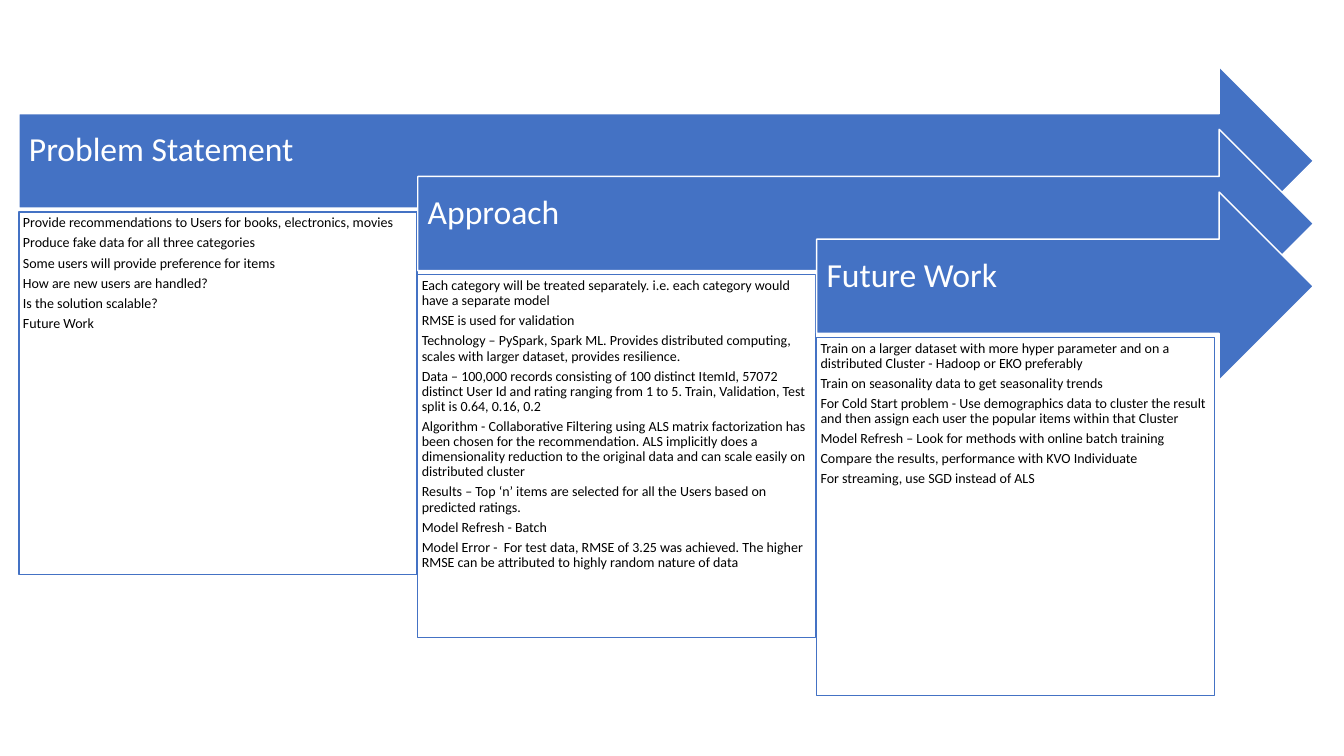
import pptx
import pptx.util
import pptx.dml.color
import pptx.enum.shapes
import pptx.enum.text

Cm, Pt = pptx.util.Cm, pptx.util.Pt
Shape = pptx.enum.shapes.MSO_SHAPE
Anchor = pptx.enum.text.MSO_ANCHOR
Align = pptx.enum.text.PP_ALIGN
COLORS = {"blue": "4472C4", "white": "FFFFFF", "black": "000000"}

STAGES = [
    ("Problem Statement", 9.14, [
        "Provide recommendations to Users for books, electronics, movies",
        "Produce fake data for all three categories",
        "Some users will provide preference for items",
        "How are new users are handled?",
        "Is the solution scalable?",
        "Future Work",
    ]),
    ("Approach", 9.14, [
        "Each category will be treated separately. i.e. each category would have a separate model",
        "RMSE is used for validation",
        "Technology – PySpark, Spark ML. Provides distributed computing, "
        "scales with larger dataset, provides resilience.",
        "Data – 100,000 records consisting of 100 distinct ItemId, 57072 distinct User Id "
        "and rating ranging from 1 to 5. Train, Validation, Test split is 0.64, 0.16, 0.2",
        "Algorithm - Collaborative Filtering using ALS matrix factorization has been chosen "
        "for the recommendation. ALS implicitly does a dimensionality reduction to the "
        "original data and can scale easily on distributed cluster",
        "Results – Top ‘n’ items are selected for all the Users based on predicted ratings.",
        "Model Refresh - Batch",
        "Model Error -  For test data, RMSE of 3.25 was achieved. "
        "The higher RMSE can be attributed to highly random nature of data",
    ]),
    ("Future Work", 9.02, [
        "Train on a larger dataset with more hyper parameter and on a distributed Cluster "
        "- Hadoop or EKO preferably",
        "Train on seasonality data to get seasonality trends",
        "For Cold Start problem - Use demographics data to cluster the result "
        "and then assign each user the popular items within that Cluster",
        "Model Refresh – Look for methods with online batch training",
        "Compare the results, performance with KVO Individuate",
        "For streaming, use SGD instead of ALS",
    ]),
]


def paint(name):
    return pptx.dml.color.RGBColor.from_string(COLORS[name])


def block(kind, box, fill, line, lines, size, ink, anchor, inset):
    shape = slide.shapes.add_shape(kind, *[Cm(n) for n in box])
    shape.shadow.inherit = False
    shape.fill.solid()
    shape.fill.fore_color.rgb = paint(fill)
    shape.line.color.rgb = paint(line)
    shape.line.width = Pt(1)
    frame = shape.text_frame
    frame.word_wrap = True
    frame.vertical_anchor = anchor
    (frame.margin_left, frame.margin_top,
     frame.margin_right, frame.margin_bottom) = [Cm(n) for n in inset]
    for i, text in enumerate(lines):
        para = frame.paragraphs[0] if i == 0 else frame.add_paragraph()
        para.alignment = Align.LEFT
        para.line_spacing = 0.9
        para.space_after = Pt(size * 0.35)
        run = para.add_run()
        run.text = text
        run.font.name = "Calibri"
        run.font.size = Pt(size)
        run.font.color.rgb = paint(ink)


deck = pptx.Presentation()
deck.slide_width, deck.slide_height = Cm(33.87), Cm(19.05)
slide = deck.slides.add_slide(deck.slide_layouts[6])

# Staggered arrows, all ending at the same right edge
RIGHT, WIDE, TALL = 33.1, 10.03, 4.75
for i, (head, deep, notes) in enumerate(STAGES):
    left, top = 0.48 + 10.05 * i, 1.68 + 1.58 * i
    block(Shape.RIGHT_ARROW, (left, top, RIGHT - left, TALL), "blue", "white",
          [head], 24, "white", Anchor.MIDDLE, (0.25, 0.25, 0.71, 0.75))
    # Details under the arrow
    block(Shape.RECTANGLE, (left, top + 3.66, WIDE, deep), "white", "blue",
          notes, 10, "black", Anchor.TOP, (0.1, 0.1, 0.1, 0.1))

deck.save("out.pptx")
